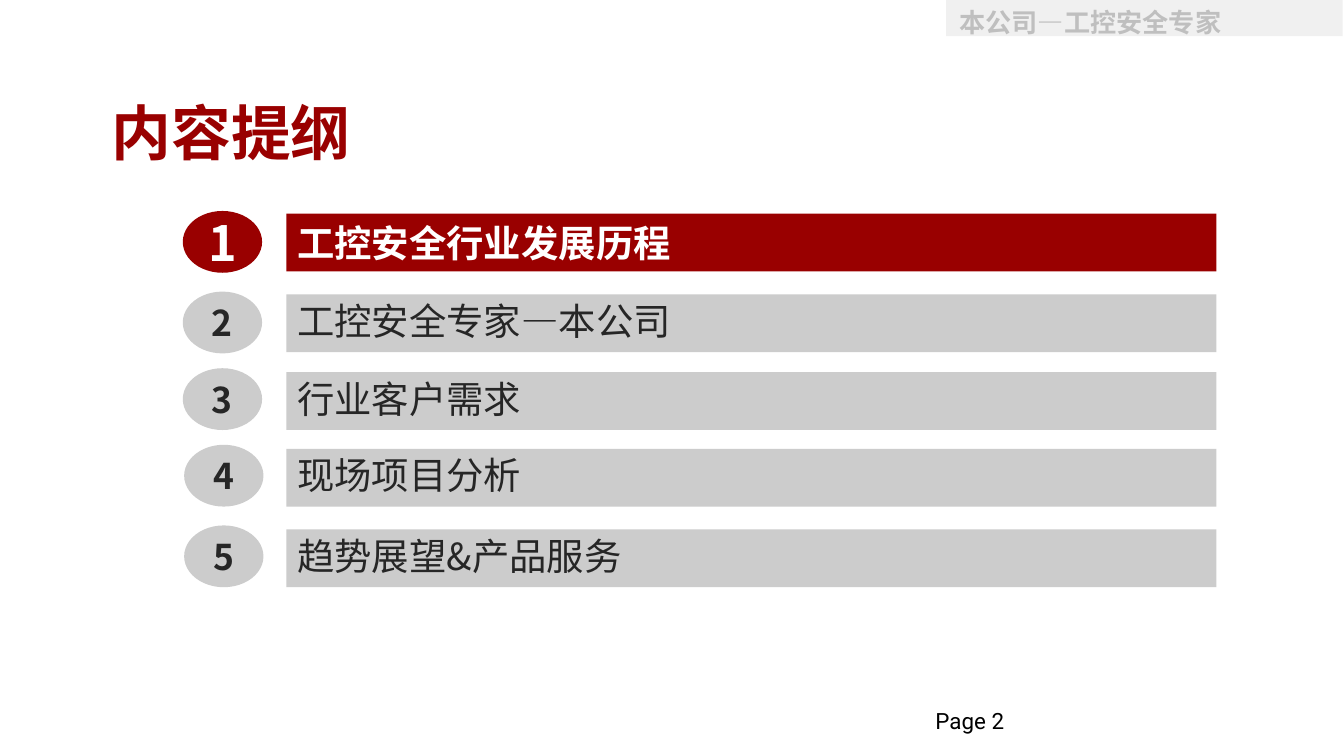
import pptx
import pptx.util
import pptx.dml.color
import pptx.enum.shapes
import pptx.enum.text
import pptx.oxml.ns
import lxml.etree

Inches = pptx.util.Inches
ShapeType = pptx.enum.shapes.MSO_SHAPE
Anchor = pptx.enum.text.MSO_ANCHOR
Align = pptx.enum.text.PP_ALIGN

CHINESE_FONT = "Noto Sans CJK SC"
RED = "990000"
GRAY = "CCCCCC"
DARK = "262626"
WHITE = "FFFFFF"


def color(hex_string):
    return pptx.dml.color.RGBColor.from_string(hex_string)


def write_text(shape, text, size, hex_string, bold=False, font=CHINESE_FONT,
               anchor=Anchor.MIDDLE, align=Align.LEFT, line_spacing=None,
               insets=(0.08, 0.04, 0.08, 0.04)):
    frame = shape.text_frame
    frame.word_wrap = True
    frame.auto_size = pptx.enum.text.MSO_AUTO_SIZE.NONE
    frame.vertical_anchor = anchor
    (frame.margin_left, frame.margin_top,
     frame.margin_right, frame.margin_bottom) = map(Inches, insets)
    paragraph = frame.paragraphs[0]
    paragraph.alignment = align
    paragraph.line_spacing = line_spacing
    run = paragraph.add_run()
    run.text = text
    run.font.size = pptx.util.Pt(size)
    run.font.bold = bold
    run.font.name = font
    run.font.color.rgb = color(hex_string)
    east_asian = lxml.etree.SubElement(
        run.font._element, pptx.oxml.ns.qn("a:ea"))
    east_asian.set("typeface", font)


def add_filled_shape(shapes, shape_type, box, fill):
    shape = shapes.add_shape(shape_type, *map(Inches, box))
    shape.shadow.inherit = False
    shape.fill.solid()
    shape.fill.fore_color.rgb = color(fill)
    shape.line.fill.background()
    return shape


def add_footer(slide, box):
    footer = slide.shapes.add_textbox(*map(Inches, box))
    write_text(footer, "Page 2", 12, "000000", font="Roboto",
               anchor=Anchor.TOP, line_spacing=0.85, insets=(0, 0, 0, 0))


def add_header(slide, box):
    header = add_filled_shape(slide.shapes, ShapeType.RECTANGLE, box, "F0F0F0")
    write_text(header, "本公司—工控安全专家", 14, "BFBFBF", bold=True,
               anchor=Anchor.TOP, insets=(0.1, 0.05, 0.1, 0.05))


def add_title(slide, box):
    title = slide.shapes.title
    title.left, title.top, title.width, title.height = map(Inches, box)
    write_text(title, "内容提纲", 32, RED, bold=True,
               insets=(0, 0.04, 0.09, 0.04))


def add_agenda_item(shapes, number, text, badge_box, bar_box, active):
    fill = RED if active else GRAY
    text_color = WHITE if active else DARK
    bar = add_filled_shape(shapes, ShapeType.RECTANGLE, bar_box, fill)
    write_text(bar, text, 20, text_color, bold=active,
               line_spacing=None if active else 0.9)
    badge = add_filled_shape(shapes, ShapeType.OVAL, badge_box, fill)
    write_text(badge, str(number), 26 if active else 19, text_color,
               bold=True, align=Align.CENTER)


def add_agenda(slide, bar_left, bar_width, items):
    group = slide.shapes.add_group_shape()
    for number, (badge_left, badge_top, bar_top, text) in enumerate(items, 1):
        add_agenda_item(group.shapes, number, text,
                        (badge_left, badge_top, 0.59, 0.46),
                        (bar_left, bar_top, bar_width, 0.43),
                        active=number == 1)


def main():
    presentation = pptx.Presentation()
    presentation.slide_width = Inches(10)
    presentation.slide_height = Inches(10 * 9 / 16)
    slide = presentation.slides.add_slide(presentation.slide_layouts[5])
    add_footer(slide, (6.96, 5.29, 2.29, 0.37))
    add_header(slide, (7.04, 0, 2.95, 0.27))
    add_title(slide, (0.83, 0.58, 8.35, 0.8))
    add_agenda(slide, 2.13, 6.92, [
        (1.36, 1.57, 1.59, "工控安全行业发展历程"),
        (1.36, 2.17, 2.19, "工控安全专家—本公司"),
        (1.36, 2.74, 2.77, "行业客户需求"),
        (1.37, 3.31, 3.34, "现场项目分析"),
        (1.37, 3.91, 3.94, "趋势展望&产品服务"),
    ])
    presentation.save("out.pptx")


if __name__ == "__main__":
    main()
